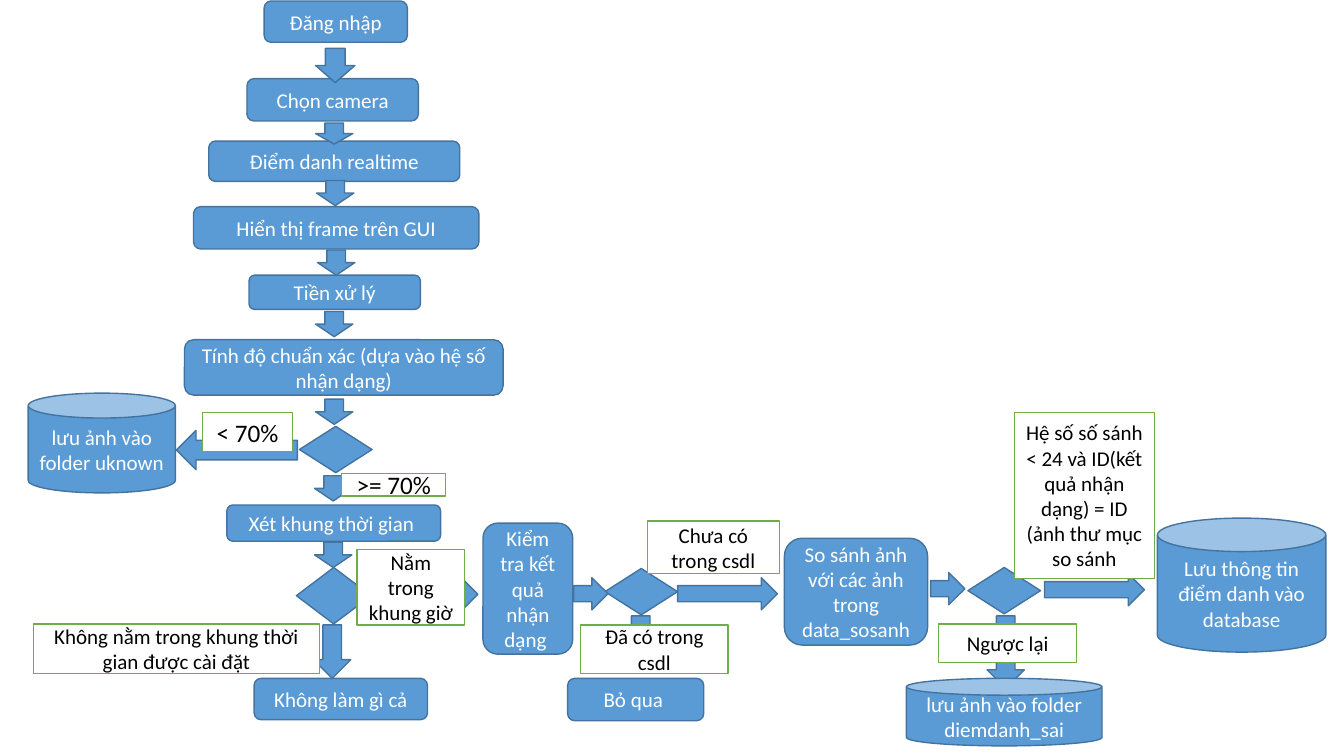
import dataclasses

import pptx
import pptx.dml.color
import pptx.enum.shapes
import pptx.enum.text
import pptx.util

PX = 9144
KIND = pptx.enum.shapes.MSO_SHAPE
ANCHOR = pptx.enum.text.MSO_ANCHOR
ALIGN = pptx.enum.text.PP_ALIGN


@dataclasses.dataclass(frozen=True)
class Theme:
    font: str = "Calibri"
    body_size: int = 15
    threshold_size: int = 18
    line_width: int = 1
    blue: str = "5B9BD5"
    dark_blue: str = "43739E"
    green: str = "70AD47"
    white: str = "FFFFFF"
    black: str = "000000"


THEME = Theme()

STEPS = [
    ("Đăng nhập", (262, 1, 142, 41)),
    ("Chọn camera", (245, 78, 170, 42)),
    ("Điểm danh realtime", (207, 140, 249, 40)),
    ("Hiển thị frame trên GUI", (192, 205, 283, 42)),
    ("Tiền xử lý", (247, 273, 170, 34)),
    ("Tính độ chuẩn xác (dựa vào hệ số nhận dạng)", (183, 337, 316, 55)),
    ("Xét khung thời gian ", (225, 501, 212, 36)),
    ("Không làm gì cả", (252, 673, 172, 41)),
    ("Kiểm tra kết quả nhận dạng ", (479, 519, 89, 130)),
    ("Bỏ qua ", (563, 673, 135, 42)),
    ("So sánh ảnh với các ảnh trong data_sosanh", (778, 534, 142, 106)),
]

DECISIONS = [
    (297, 423, 72, 46),
    (294, 563, 74, 56),
    (600, 564, 72, 46),
    (960, 563, 72, 46),
]

SHORT_DOWN_ARROWS = [
    (313, 122, 21),
    (314, 179, 25),
    (315, 248, 25),
    (313, 309, 25),
    (313, 396, 25),
    (312, 472, 25),
    (312, 538, 25),
]

BRANCH_ARROWS = [
    (KIND.DOWN_ARROW, (313, 48, 39, 34)),
    (KIND.LEFT_ARROW, (175, 427, 120, 39)),
    (KIND.DOWN_ARROW, (311, 620, 37, 53)),
    (KIND.RIGHT_ARROW, (367, 574, 107, 31)),
    (KIND.RIGHT_ARROW, (569, 573, 34, 32)),
    (KIND.DOWN_ARROW, (617, 611, 37, 57)),
    (KIND.RIGHT_ARROW, (672, 573, 99, 32)),
    (KIND.RIGHT_ARROW, (923, 568, 34, 32)),
    (KIND.RIGHT_ARROW, (1036, 569, 99, 32)),
    (KIND.DOWN_ARROW, (979, 611, 37, 72)),
]

STORES = [
    ("lưu ảnh vào folder uknown", (28, 390, 146, 99)),
    ("Lưu thông tin điểm danh vào database", (1148, 514, 167, 133)),
    ("lưu ảnh vào folder diemdanh_sai", (899, 673, 194, 67)),
]

THRESHOLDS = [
    (">= 70%", (339, 470, 103, 22)),
    ("< 70%", (201, 409, 89, 39)),
]

CONDITIONS = [
    ("Không nằm trong khung thời gian được cài đặt", (33, 619, 284, 49)),
    ("Nằm trong khung giờ", (354, 545, 107, 75)),
    ("Đã có trong csdl", (576, 620, 146, 48)),
    ("Chưa có trong csdl", (642, 517, 131, 52)),
    ("Ngược lại", (931, 619, 137, 38)),
    ("Hệ số số sánh < 24 và ID(kết quả nhận dạng) = ID (ảnh thư mục so sánh",
     (1006, 409, 139, 165)),
]


def rgb(color):
    return pptx.dml.color.RGBColor.from_string(color)


def apply_format(target, values):
    for attribute, value in values.items():
        setattr(target, attribute, value)


def add_block(slide, kind, box, fill=THEME.blue, outline=THEME.dark_blue):
    block = slide.shapes.add_shape(kind, *(length * PX for length in box))
    block.shadow.inherit = False
    block.fill.solid()
    block.fill.fore_color.rgb = rgb(fill)
    block.line.color.rgb = rgb(outline)
    block.line.width = pptx.util.Pt(THEME.line_width)
    return block


def write(block, wording, color, size=THEME.body_size):
    frame = block.text_frame
    apply_format(frame, {"word_wrap": True, "vertical_anchor": ANCHOR.MIDDLE})
    paragraph = frame.paragraphs[0]
    paragraph.alignment = ALIGN.CENTER
    run = paragraph.add_run()
    run.text = wording
    apply_format(run.font, {"name": THEME.font, "size": pptx.util.Pt(size)})
    run.font.color.rgb = rgb(color)


def add_step(slide, wording, box):
    write(add_block(slide, KIND.ROUNDED_RECTANGLE, box), wording, THEME.white)


def add_store(slide, wording, box):
    write(add_block(slide, KIND.CAN, box), wording, THEME.white)


def add_condition(slide, wording, box, size=THEME.body_size):
    label = add_block(slide, KIND.RECTANGLE, box, THEME.white, THEME.green)
    write(label, wording, THEME.black, size)


def main():
    presentation = pptx.Presentation()
    apply_format(presentation, {"slide_width": 1333 * PX, "slide_height": 750 * PX})
    slide = presentation.slides.add_slide(presentation.slide_layouts[6])

    for wording, box in STEPS:
        add_step(slide, wording, box)
    for box in DECISIONS:
        add_block(slide, KIND.DIAMOND, box)
    for left, top, height in SHORT_DOWN_ARROWS:
        add_block(slide, KIND.DOWN_ARROW, (left, top, 37, height))
    for direction, box in BRANCH_ARROWS:
        add_block(slide, direction, box)
    for wording, box in STORES:
        add_store(slide, wording, box)
    for wording, box in THRESHOLDS:
        add_condition(slide, wording, box, THEME.threshold_size)
    for wording, box in CONDITIONS:
        add_condition(slide, wording, box)

    presentation.save("out.pptx")


if __name__ == "__main__":
    main()
